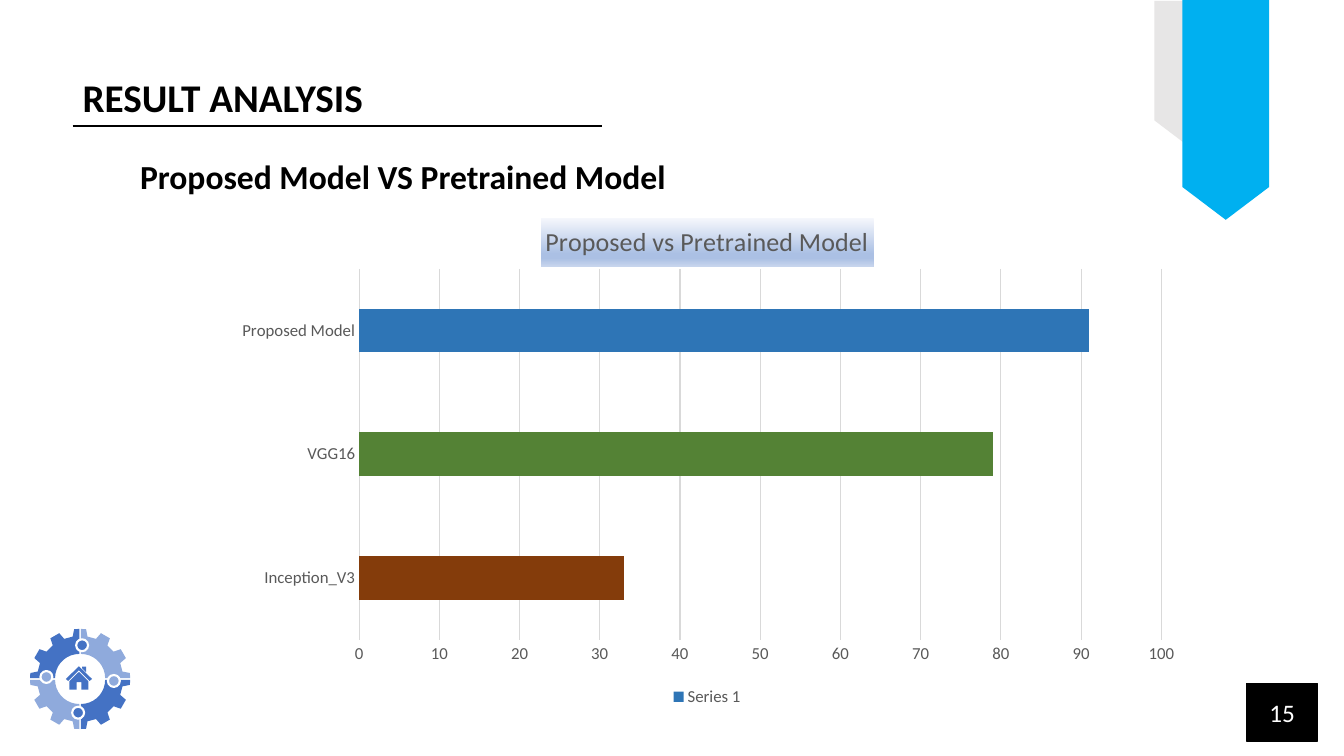
from copy import deepcopy
from math import cos, radians, sin

from lxml import etree
from pptx import Presentation
from pptx.chart.data import CategoryChartData
from pptx.dml.color import RGBColor
from pptx.enum.chart import XL_CHART_TYPE, XL_LEGEND_POSITION, XL_TICK_MARK
from pptx.enum.shapes import MSO_CONNECTOR, MSO_SHAPE
from pptx.enum.text import MSO_ANCHOR, MSO_AUTO_SIZE, PP_ALIGN
from pptx.oxml.ns import qn
from pptx.util import Cm, Pt

BAR = XL_CHART_TYPE.BAR_CLUSTERED
BOTTOM = XL_LEGEND_POSITION.BOTTOM
NO_TICK = XL_TICK_MARK.NONE
STRAIGHT = MSO_CONNECTOR.STRAIGHT
RECT, PENTAGON, OVAL = MSO_SHAPE.RECTANGLE, MSO_SHAPE.PENTAGON, MSO_SHAPE.OVAL
TOP, MIDDLE = MSO_ANCHOR.TOP, MSO_ANCHOR.MIDDLE
NO_FIT = MSO_AUTO_SIZE.NONE
LEFT, CENTER = PP_ALIGN.LEFT, PP_ALIGN.CENTER

BLACK = RGBColor(0x00, 0x00, 0x00)
WHITE = RGBColor(0xFF, 0xFF, 0xFF)
GRAY = RGBColor(0x59, 0x59, 0x59)
GRID = RGBColor(0xD9, 0xD9, 0xD9)
SILVER = RGBColor(0xE7, 0xE6, 0xE6)
SKY = RGBColor(0x00, 0xB0, 0xF0)
BLUE = RGBColor(0x44, 0x72, 0xC4)
LIGHT_BLUE = RGBColor(0x8F, 0xAA, 0xDC)
BAR_BLUE = RGBColor(0x2E, 0x75, 0xB6)
BAR_GREEN = RGBColor(0x54, 0x82, 0x35)
BAR_BROWN = RGBColor(0x84, 0x3C, 0x0B)
TITLE_STOPS = [
    (0, RGBColor(0xF5, 0xF7, 0xFC)),
    (0.74, RGBColor(0xAB, 0xC0, 0xE4)),
    (0.83, RGBColor(0xAB, 0xC0, 0xE4)),
    (1, RGBColor(0xC7, 0xD5, 0xED)),
]


class SlideBuilder:
    font = "Calibri"

    def __init__(self, prs):
        self.s = prs.slides.add_slide(prs.slide_layouts[5])

    def style(self, font, size, color, bold=False):
        font.name, font.size, font.bold = self.font, Pt(size), bold
        font.color.rgb = color

    def fill_text(self, tf, text, size, color, bold=False, align=LEFT, anchor=TOP):
        tf.text = text
        tf.word_wrap = True
        tf.auto_size = NO_FIT
        tf.vertical_anchor = anchor
        p = tf.paragraphs[0]
        p.alignment = align
        self.style(p.runs[0].font, size, color, bold)

    def title(self, text, x, y, w, h, size):
        sp = self.s.shapes.title
        sp.left, sp.top, sp.width, sp.height = Cm(x), Cm(y), Cm(w), Cm(h)
        self.fill_text(sp.text_frame, text, size, BLACK, True)

    def text(self, text, x, y, w, h, size):
        sp = self.s.shapes.add_textbox(Cm(x), Cm(y), Cm(w), Cm(h))
        self.fill_text(sp.text_frame, text, size, BLACK, True)

    def line(self, x1, y1, x2, y2, color, width):
        cn = self.s.shapes.add_connector(STRAIGHT, Cm(x1), Cm(y1), Cm(x2), Cm(y2))
        cn.line.color.rgb = color
        cn.line.width = Pt(width)
        etree.SubElement(cn._element.spPr, qn("a:effectLst"))

    def paint(self, sp, fill, line=None, width=1):
        sp.shadow.inherit = False
        sp.fill.solid()
        sp.fill.fore_color.rgb = fill
        if line is None:
            sp.line.fill.background()
        else:
            sp.line.color.rgb = line
            sp.line.width = Pt(width)
        return sp

    def shape(self, kind, x, y, w, h, fill, line=None, width=1):
        sp = self.s.shapes.add_shape(kind, Cm(x), Cm(y), Cm(w), Cm(h))
        return self.paint(sp, fill, line, width)

    def ribbon(self, x, y, w, h, fill):
        sp = self.shape(PENTAGON, x, y, w, h, fill)
        sp.adjustments[0] = 0.378
        sp.rotation = 90

    def polygon(self, points, fill):
        points = [(Cm(x), Cm(y)) for x, y in points]
        fb = self.s.shapes.build_freeform(*points[0])
        fb.add_line_segments(points[1:], close=True)
        self.paint(fb.convert_to_shape(), fill)

    def gear(self, cx, cy, outer, root, hole):
        rim = [(0, outer)]
        for tooth in (0, 30, 60):
            rim += [(tooth + 6, outer), (tooth + 9, root),
                    (tooth + 21, root), (tooth + 24, outer)]
        rim += [(90, outer)] + [(a, hole) for a in range(90, -1, -10)]
        gap, knob, reach = 0.03, 0.15, 0.85
        colors = (BLUE, LIGHT_BLUE, BLUE, LIGHT_BLUE)
        for i, color in enumerate(colors):
            mid = radians(90 * i + 45)
            x0, y0 = cx + gap * cos(mid), cy + gap * sin(mid)
            self.polygon([(x0 + r * cos(radians(a + 90 * i)),
                           y0 + r * sin(radians(a + 90 * i))) for a, r in rim], color)
        for i, color in enumerate(colors):
            end = radians(90 * i + 90)
            x = cx + reach * cos(end) - 0.05 * sin(end)
            y = cy + reach * sin(end) + 0.05 * cos(end)
            self.shape(OVAL, x - knob, y - knob, 2 * knob, 2 * knob, color, WHITE, 1.5)

    def house(self, cx, y):
        roof = [(0, 0), (0.33, 0.32), (0.27, 0.37), (0, 0.1), (-0.27, 0.37), (-0.33, 0.32)]
        walls = [(0, 0.14), (0.24, 0.38), (0.24, 0.59), (0.06, 0.59), (0.06, 0.4),
                 (-0.06, 0.4), (-0.06, 0.59), (-0.24, 0.59), (-0.24, 0.38)]
        chimney = [(0.08, 0.01), (0.18, 0.01), (0.18, 0.15), (0.08, 0.05)]
        for part in (roof, walls, chimney):
            self.polygon([(cx + dx, y + dy) for dx, dy in part], BLUE)

    def chart(self, x, y, w, h, title, series, bars):
        data = CategoryChartData()
        data.categories = [name for name, _, _ in bars]
        data.add_series(series, [value for _, value, _ in bars])
        ch = self.s.shapes.add_chart(BAR, Cm(x), Cm(y), Cm(w), Cm(h), data).chart
        self.style(ch.font, 12, GRAY)
        ch.has_title = True
        tf = ch.chart_title.text_frame
        tf.text = title
        self.style(tf.paragraphs[0].runs[0].font, 18.6, GRAY)
        self.gradient(ch.chart_title)
        ch.has_legend = True
        ch.legend.position = BOTTOM
        ch.legend.include_in_layout = False
        self.style(ch.legend.font, 12, GRAY)
        for axis in (ch.category_axis, ch.value_axis):
            axis.major_tick_mark = axis.minor_tick_mark = NO_TICK
            self.style(axis.tick_labels.font, 12, GRAY)
        ch.category_axis.format.line.color.rgb = GRID
        ch.category_axis.format.line.width = Pt(0.75)
        va = ch.value_axis
        va.minimum_scale, va.maximum_scale, va.major_unit = 0, 100, 10
        va.format.line.fill.background()
        va.has_major_gridlines = True
        va.major_gridlines.format.line.color.rgb = GRID
        va.major_gridlines.format.line.width = Pt(0.75)
        plot = ch.plots[0]
        plot.gap_width = 182
        plot.vary_by_categories = False
        ser = plot.series[0]
        ser.format.fill.solid()
        ser.format.fill.fore_color.rgb = BAR_BLUE
        for i, (_, _, color) in enumerate(bars):
            if color != BAR_BLUE:
                fill = ser.points[i].format.fill
                fill.solid()
                fill.fore_color.rgb = color
        self.place_plot(ch, x=0.14, y=0.13, w=0.83, h=0.73)

    def gradient(self, chart_title):
        fill = chart_title.format.fill
        fill.gradient()
        fill.gradient_angle = 270
        stops = chart_title._element.find(".//" + qn("a:gsLst"))
        while len(stops) < len(TITLE_STOPS):
            stops.append(deepcopy(stops[0]))
        for stop, (position, color) in zip(fill.gradient_stops, TITLE_STOPS):
            stop.position = position
            stop.color.rgb = color

    def place_plot(self, ch, **box):
        area = ch._chartSpace.find(".//" + qn("c:plotArea"))
        for old in area.findall(qn("c:layout")):
            area.remove(old)
        layout = etree.Element(qn("c:layout"))
        area.insert(0, layout)
        manual = etree.SubElement(layout, qn("c:manualLayout"))
        values = {"layoutTarget": "inner", "xMode": "edge", "yMode": "edge", **box}
        for tag, value in values.items():
            etree.SubElement(manual, qn("c:" + tag)).set("val", str(value))


def main():
    prs = Presentation()
    prs.slide_width, prs.slide_height = Cm(33.87), Cm(19.05)
    b = SlideBuilder(prs)
    b.title("RESULT ANALYSIS", 1.83, 1.73, 10.34, 1.45, 28)
    b.line(1.83, 3.18, 15.16, 3.18, BLACK, 1.5)
    b.text("Proposed Model VS Pretrained Model", 3.28, 3.81, 15.42, 1.27, 24)
    page = b.shape(RECT, 31.42, 17.22, 1.78, 1.45, BLACK, BLACK)
    b.fill_text(page.text_frame, "15", 18, WHITE, align=CENTER, anchor=MIDDLE)
    b.chart(5.64, 5.11, 24.36, 12.8, "Proposed vs Pretrained Model", "Series 1", [
        ("Inception_V3", 33, BAR_BROWN),
        ("VGG16", 79, BAR_GREEN),
        ("Proposed Model", 91, BAR_BLUE),
    ])
    b.ribbon(28.09, 1.02, 3.63, 1.63, SILVER)
    b.ribbon(28.12, 1.68, 5.54, 2.18, SKY)
    b.gear(2.02, 17.11, 1.24, 1.06, 0.61)
    b.house(1.99, 16.79)
    prs.save("out.pptx")


if __name__ == "__main__":
    main()
